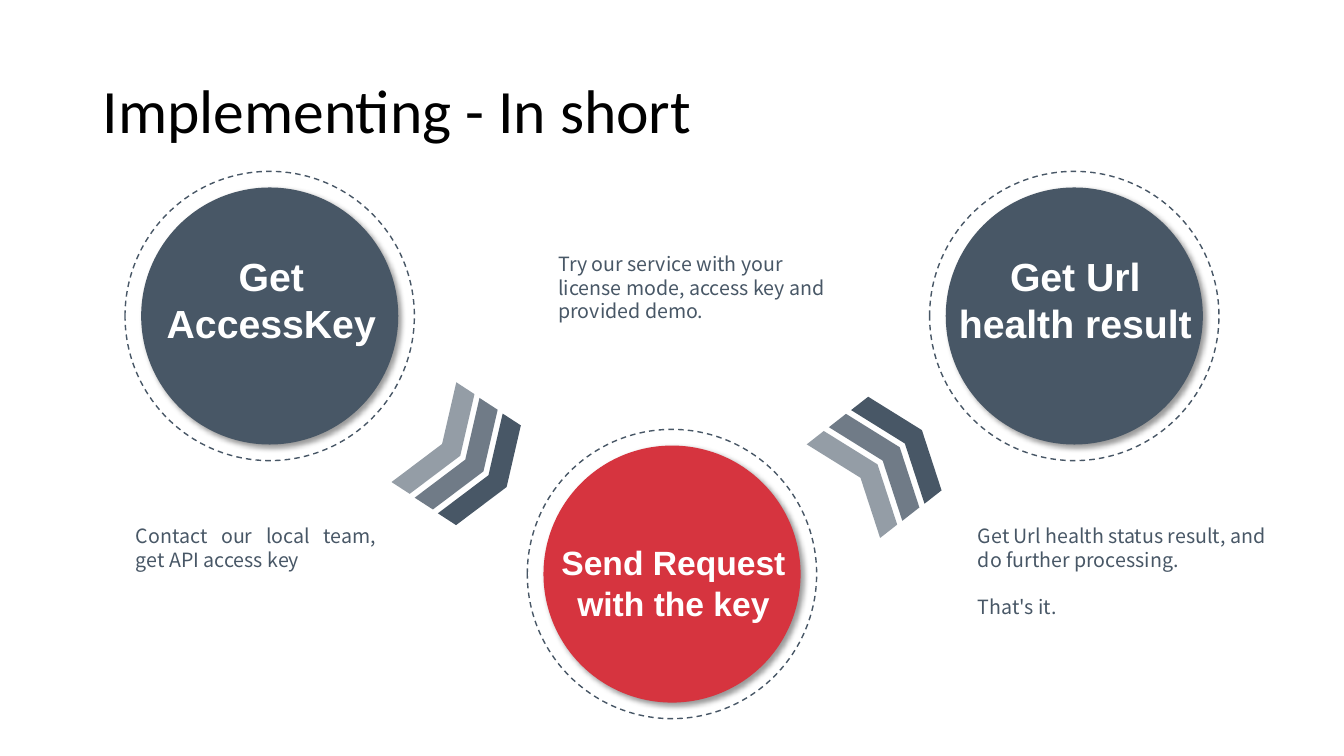
from dataclasses import dataclass

from lxml.etree import SubElement
from pptx import Presentation
from pptx.dml.color import RGBColor
from pptx.enum.dml import MSO_LINE_DASH_STYLE as Dash
from pptx.enum.shapes import MSO_SHAPE as Shape
from pptx.enum.text import MSO_ANCHOR as Anchor, PP_ALIGN as Align
from pptx.oxml.ns import qn
from pptx.util import Inches, Pt


@dataclass(frozen=True)
class Theme:
    """Colours, fonts and type sizes of the slide."""
    slate: str = "485766"
    red: str = "D6343F"
    white: str = "FFFFFF"
    black: str = "000000"
    title_font: str = "Calibri"
    label_font: str = "Arial"
    note_font: str = "Noto Sans CJK SC"
    title_size: int = 44
    label_size: int = 28
    small_label_size: int = 24
    note_size: int = 14
    leading: float = 1.2


THEME = Theme()
WIDTH, HEIGHT = 13.33, 7.5
MIDDLE = WIDTH / 2
STEP_GAP = 3.99
UPPER_ROW, LOWER_ROW = 3.135, 5.695
RING, DISC = 2.87, 2.55
CHEVRON = (0.43, 1.18)


def rgb(colour):
    """Turn a hex string into a colour."""
    return RGBColor.from_string(colour)


def add_alpha(parent, percent):
    """Set the opacity of a colour element."""
    SubElement(parent, qn("a:alpha"), val=str(percent * 1000))


def add_centred(slide, kind, centre, size, colour=None):
    """Place a flat shape around its centre, filled or hollow."""
    left, top = (middle - side / 2 for middle, side in zip(centre, size))
    shape = slide.shapes.add_shape(
        kind, Inches(left), Inches(top), *map(Inches, size))
    shape.shadow.inherit = False
    if colour:
        shape.fill.solid()
        shape.fill.fore_color.rgb = rgb(colour)
        shape.line.fill.background()
    else:
        shape.fill.background()
    return shape


def add_text(slide, box, paragraphs, font, size, colour, bold=False,
             align=Align.LEFT, anchor=Anchor.TOP, spacing=None):
    """Write paragraphs, each a list of lines, into a wrapping text box."""
    frame = slide.shapes.add_textbox(*map(Inches, box)).text_frame
    frame.word_wrap = True
    frame.vertical_anchor = anchor
    leading = Pt(size * THEME.leading)
    for index, lines in enumerate(paragraphs):
        para = frame.add_paragraph() if index else frame.paragraphs[0]
        para.alignment = align
        para.line_spacing = spacing or leading
        if index:
            para.space_before = leading
        for number, line in enumerate(lines):
            if number:
                para.add_line_break()
            span = para.add_run()
            span.text = line
            span.font.name = font
            span.font.size = Pt(size)
            span.font.bold = bold
            span.font.color.rgb = rgb(colour)


def add_title(slide, box, text):
    """Write the slide title in its box."""
    add_text(slide, box, [[text]], THEME.title_font, THEME.title_size,
             THEME.black, anchor=Anchor.MIDDLE, spacing=0.9)


def add_step(slide, centre, colour, label_box, lines, size):
    """Draw a shadowed disc in a dashed ring with its label."""
    ring = add_centred(slide, Shape.OVAL, centre, (RING, RING))
    ring.line.color.rgb = rgb(THEME.slate)
    ring.line.width = Pt(1)
    ring.line.dash_style = Dash.DASH
    disc = add_centred(slide, Shape.OVAL, centre, (DISC, DISC), colour)
    effects = disc._element.spPr.find(qn("a:effectLst"))
    shadow = SubElement(effects, qn("a:outerShdw"), blurRad=str(Pt(4)),
                        dist=str(Pt(3)), dir=str(45 * 60000),
                        algn="tl", rotWithShape="0")
    add_alpha(SubElement(shadow, qn("a:srgbClr"), val=THEME.black), 40)
    add_text(slide, label_box, [lines], THEME.label_font, size,
             THEME.white, bold=True, align=Align.CENTER)


def add_chevrons(slide, centre, shift, rotation):
    """Draw three chevrons that darken along their direction."""
    for place, opacity in zip((-1, 0, 1), (58, 78, 100)):
        spot = [start + place * move for start, move in zip(centre, shift)]
        chevron = add_centred(slide, Shape.CHEVRON, spot, CHEVRON, THEME.slate)
        chevron.rotation = rotation
        if opacity < 100:
            add_alpha(chevron._element.spPr.find(
                f"{qn('a:solidFill')}/{qn('a:srgbClr')}"), opacity)


def add_note(slide, box, paragraphs, align=Align.LEFT):
    """Write the small explanation of a step."""
    add_text(slide, box, paragraphs, THEME.note_font, THEME.note_size,
             THEME.slate, align=align)


def build_process(slide):
    """Lay out the title, the three steps, the arrows and the notes."""
    add_title(slide, (0.92, 0.4, 11.5, 1.45), "Implementing - In short")
    steps = (
        (UPPER_ROW, THEME.slate, (1.27, 2.45, 2.84, 1.04),
         ["Get AccessKey"], THEME.label_size),
        (LOWER_ROW, THEME.red, (5.26, 5.33, 2.84, 0.91),
         ["Send Request", "with the key"], THEME.small_label_size),
        (UPPER_ROW, THEME.slate, (9.19, 2.45, 2.95, 1.04),
         ["Get Url", "health result"], THEME.label_size),
    )
    for column, (row, *style) in enumerate(steps, start=-1):
        add_step(slide, (MIDDLE + column * STEP_GAP, row), *style)
    add_chevrons(slide, (4.615, 4.56), (0.23, 0.155), 33)
    add_chevrons(slide, (8.755, 4.57), (0.22, -0.17), 321.9)
    add_note(slide, (1.25, 5.15, 2.58, 0.57),
             [["Contact our local team, get API access key"]], Align.JUSTIFY)
    add_note(slide, (5.44, 2.45, 3.04, 0.81),
             [["Try our service with your license mode, "
               "access key and provided demo."]])
    add_note(slide, (9.6, 5.15, 3.12, 1.04),
             [["Get Url health status result, and do further processing."],
              ["That's it."]])


def main():
    """Build and save the deck."""
    deck = Presentation()
    deck.slide_width, deck.slide_height = Inches(WIDTH), Inches(HEIGHT)
    build_process(deck.slides.add_slide(deck.slide_layouts[6]))
    deck.save("out.pptx")


if __name__ == "__main__":
    main()
